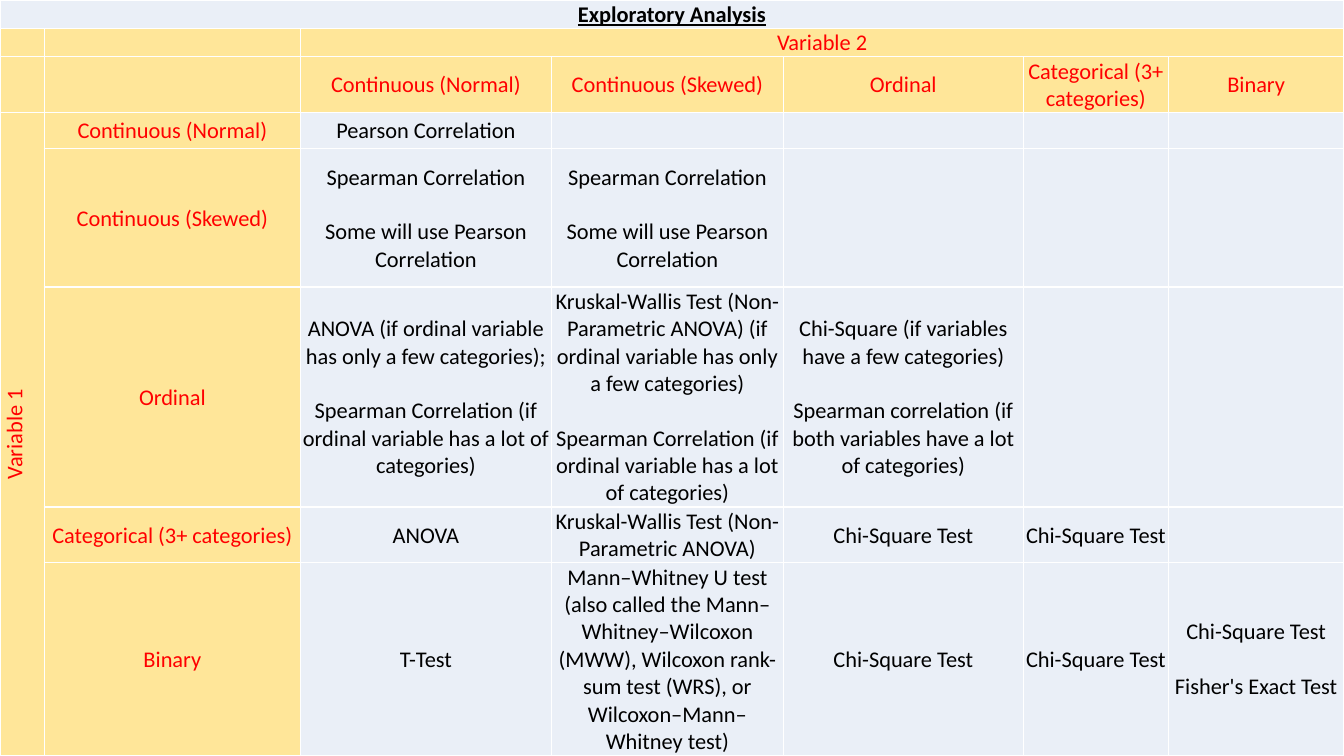
import pptx
import pptx.dml.color
import pptx.enum.text
import pptx.oxml.ns
import pptx.util
from lxml import etree

Inches = pptx.util.Inches
Pt = pptx.util.Pt

COLORS = {"header": "FFE699", "body": "EAEFF7", "label": "FF0000", "text": "000000"}

VARIABLE_TYPES = ["Continuous (Normal)", "Continuous (Skewed)", "Ordinal",
                  "Categorical (3+ categories)", "Binary"]
COLUMN_WIDTHS = [0.44, 2.54, 2.49, 2.3, 2.38, 1.44, 1.74]
ROW_HEIGHTS = [0.27, 0.28, 0.55, 0.36, 1.37, 2.18, 0.55, 1.91]
FIRST_ROW, FIRST_COLUMN = 3, 2

# Lower triangle of tests: one row per type of variable 1, each cell a list of paragraphs
SPEARMAN = ["Spearman Correlation", "Some will use Pearson Correlation"]
SPEARMAN_ORDINAL = "Spearman Correlation (if ordinal variable has a lot of categories)"
CHI_SQUARE = "Chi-Square Test"
TESTS = [
    [["Pearson Correlation"]],
    [SPEARMAN, SPEARMAN],
    [["ANOVA (if ordinal variable has only a few categories);", SPEARMAN_ORDINAL],
     ["Kruskal-Wallis Test (Non-Parametric ANOVA) (if ordinal variable has only "
      "a few categories)", SPEARMAN_ORDINAL],
     ["Chi-Square (if variables have a few categories)",
      "Spearman correlation (if both variables have a lot of categories)"]],
    [["ANOVA"], ["Kruskal-Wallis Test (Non-Parametric ANOVA)"], [CHI_SQUARE], [CHI_SQUARE]],
    [["T-Test"],
     ["Mann–Whitney U test (also called the Mann–Whitney–Wilcoxon (MWW), Wilcoxon "
      "rank-sum test (WRS), or Wilcoxon–Mann–Whitney test)"],
     [CHI_SQUARE], [CHI_SQUARE], [CHI_SQUARE, "Fisher's Exact Test"]],
]


class SlideBuilder:
    """Holds the text style and the current slide."""

    def __init__(self, slide, font="Calibri", size=16):
        self.slide = slide
        self.font = font
        self.size = Pt(size)

    def color(self, name):
        return pptx.dml.color.RGBColor.from_string(COLORS[name])

    def table(self, widths, heights):
        """Add a full-slide table with no header or banding effects."""
        grid = self.slide.shapes.add_table(
            len(heights), len(widths), Inches(0), Inches(0),
            Inches(sum(widths)), Inches(sum(heights))).table
        grid.first_row = False
        grid.horz_banding = False
        for column, width in zip(grid.columns, widths):
            column.width = Inches(width)
        for row, height in zip(grid.rows, heights):
            row.height = Inches(height)
        return grid

    def blank_cell(self, cell, fill):
        """Fill a cell, tighten its margins and keep its empty line small."""
        cell.fill.solid()
        cell.fill.fore_color.rgb = self.color(fill)
        cell.margin_left = cell.margin_right = cell.margin_top = Inches(0.01)
        cell.margin_bottom = 0
        cell.vertical_anchor = pptx.enum.text.MSO_ANCHOR.MIDDLE
        line_end = etree.SubElement(cell.text_frame.paragraphs[0]._p,
                                    pptx.oxml.ns.qn("a:endParaRPr"))
        line_end.set("sz", str(int(self.size.pt * 100)))

    def cell_text(self, cell, paragraphs, color="text", heading=False):
        """Set centred paragraphs, one line apart."""
        cell.text_frame.text = "\n".join(paragraphs)
        for index, paragraph in enumerate(cell.text_frame.paragraphs):
            paragraph.alignment = pptx.enum.text.PP_ALIGN.CENTER
            if index:
                paragraph.space_before = Pt(19.5)
            for run in paragraph.runs:
                run.font.name = self.font
                run.font.size = self.size
                run.font.color.rgb = self.color(color)
                run.font.bold = run.font.underline = heading


def main():
    deck = pptx.Presentation()
    deck.slide_width, deck.slide_height = Inches(13.33), Inches(7.5)
    builder = SlideBuilder(deck.slides.add_slide(deck.slide_layouts[6]))
    analysis = builder.table(COLUMN_WIDTHS, ROW_HEIGHTS)
    last_row, last_column = len(ROW_HEIGHTS) - 1, len(COLUMN_WIDTHS) - 1

    # Backgrounds: headings above and to the left of the tests
    for row in range(last_row + 1):
        for column in range(last_column + 1):
            is_header = row > 0 and (row < FIRST_ROW or column < FIRST_COLUMN)
            builder.blank_cell(analysis.cell(row, column), "header" if is_header else "body")

    # Title and the two variable headings
    title = analysis.cell(0, 0)
    title.merge(analysis.cell(0, last_column))
    builder.cell_text(title, ["Exploratory Analysis"], heading=True)

    variable_2 = analysis.cell(1, FIRST_COLUMN)
    variable_2.merge(analysis.cell(1, last_column))
    builder.cell_text(variable_2, ["Variable 2"], "label")

    variable_1 = analysis.cell(FIRST_ROW, 0)
    variable_1.merge(analysis.cell(last_row, 0))
    builder.cell_text(variable_1, ["Variable 1"], "label")
    variable_1._tc.get_or_add_tcPr().set("vert", "vert270")

    # Variable types on both axes, with the tests for each pair
    for index, (variable_type, tests) in enumerate(zip(VARIABLE_TYPES, TESTS)):
        row = FIRST_ROW + index
        builder.cell_text(analysis.cell(FIRST_ROW - 1, FIRST_COLUMN + index),
                          [variable_type], "label")
        builder.cell_text(analysis.cell(row, FIRST_COLUMN - 1), [variable_type], "label")
        for column, test in enumerate(tests, FIRST_COLUMN):
            builder.cell_text(analysis.cell(row, column), test)

    deck.save("out.pptx")


if __name__ == "__main__":
    main()
